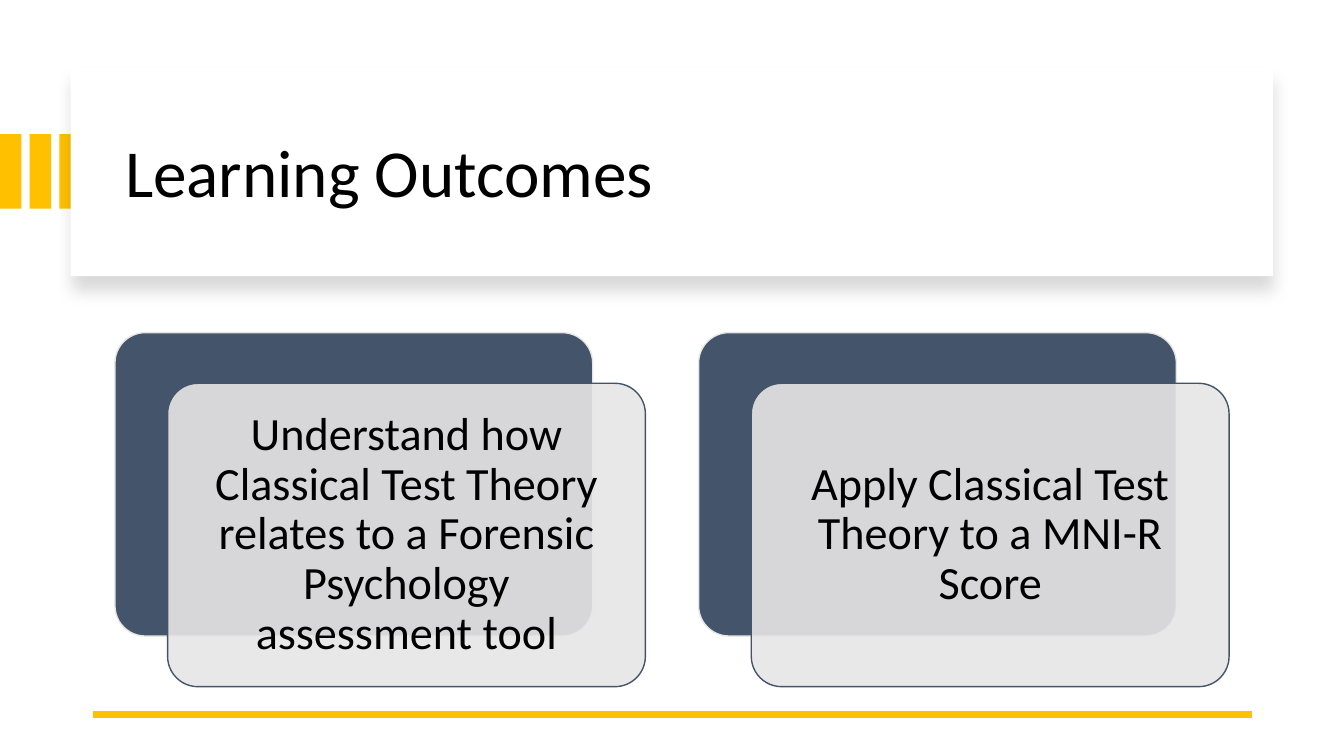
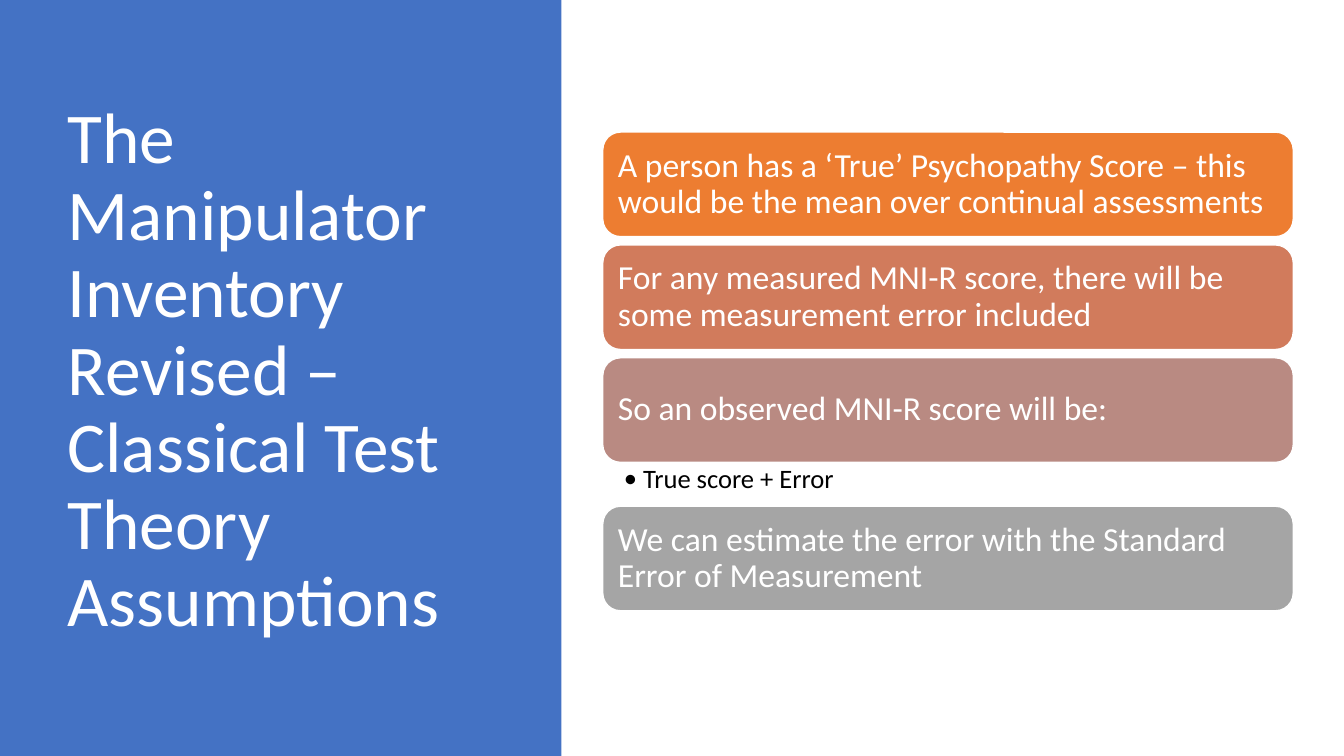
from dataclasses import dataclass

from lxml.etree import SubElement
from pptx import Presentation
from pptx.dml.color import RGBColor
from pptx.enum.shapes import MSO_CONNECTOR, MSO_SHAPE
from pptx.enum.text import MSO_ANCHOR, MSO_AUTO_SIZE, PP_ALIGN
from pptx.oxml.ns import qn
from pptx.util import Inches, Pt

WIDE, HIGH = Inches(13.333), Inches(7.5)


@dataclass(frozen=True)
class Theme:
    font: str = "Calibri"
    black: str = "000000"
    white: str = "FFFFFF"
    gold: str = "FFC000"
    navy: str = "44546A"
    pale: str = "E7E6E6"
    blue: str = "4472C4"
    ramp: tuple = ("ED7D31", "D17B5C", "B98A82", "A5A5A5")
    head: int = 48
    side: int = 51
    card: int = 33
    row: int = 24
    note: int = 19
    lead: float = 0.9


LOOK = Theme()


def rgb(code):
    return RGBColor.from_string(code)


def span(x, y, w, h):
    return (round(WIDE * x / 100), round(HIGH * y / 100),
            round(WIDE * w / 100), round(HIGH * h / 100))


def write(shape, words, size, color=LOOK.black, align=PP_ALIGN.LEFT,
          anchor=MSO_ANCHOR.MIDDLE, pad=(0.1, 0.05), dot=0):
    frame = shape.text_frame
    frame.word_wrap = True
    frame.auto_size = MSO_AUTO_SIZE.NONE
    frame.vertical_anchor = anchor
    frame.margin_left = frame.margin_right = Inches(pad[0])
    frame.margin_top = frame.margin_bottom = Inches(pad[1])
    para = frame.paragraphs[0]
    para.alignment = align
    para.line_spacing = LOOK.lead
    run = para.add_run()
    run.text = words
    run.font.name = LOOK.font
    run.font.size = Pt(size)
    run.font.color.rgb = rgb(color)
    if dot:
        props = para._p.get_or_add_pPr()
        props.set("marL", str(Inches(dot)))
        props.set("indent", str(-Inches(dot)))
        SubElement(props, qn("a:buFont"), typeface=LOOK.font)
        SubElement(props, qn("a:buChar"), char="•")


def block(slide, area, fill, edge=None, bend=None, alpha=None):
    kind = MSO_SHAPE.RECTANGLE if bend is None else MSO_SHAPE.ROUNDED_RECTANGLE
    shape = slide.shapes.add_shape(kind, *span(*area))
    if bend is not None:
        shape.adjustments[0] = bend
    shape.fill.solid()
    shape.fill.fore_color.rgb = rgb(fill)
    if alpha:
        tint = shape.element.spPr.find(qn("a:solidFill"))[0]
        SubElement(tint, qn("a:alpha"), val=str(alpha * 1000))
    if edge:
        shape.line.color.rgb = rgb(edge)
        shape.line.width = Pt(1)
    else:
        shape.line.fill.background()
    shape.shadow.inherit = False
    return shape


def shade(shape):
    glow = SubElement(shape.element.spPr.find(qn("a:effectLst")),
                      qn("a:outerShdw"), blurRad=str(Pt(11)),
                      dist=str(Pt(10)), dir="5400000", algn="t",
                      rotWithShape="0")
    tint = SubElement(glow, qn("a:srgbClr"), val=LOOK.black)
    SubElement(tint, qn("a:alpha"), val="15000")


def title(slide, area, words, **style):
    shape = slide.shapes.title
    shape.left, shape.top, shape.width, shape.height = span(*area)
    shape.element.getparent().append(shape.element)
    write(shape, words, **style)


def rule(slide, x, y, end):
    left, top, wide, _ = span(x, y, end - x, 0)
    line = slide.shapes.add_connector(
        MSO_CONNECTOR.STRAIGHT, left + wide, top, left, top)
    line.line.color.rgb = rgb(LOOK.gold)
    line.line.width = Pt(4.5)
    SubElement(line.element.spPr, qn("a:effectLst"))


def card(slide, x, words):
    y, w, h = 44, 35.55, 40.13
    block(slide, (x, y, w, h), LOOK.navy, LOOK.pale, 0.1)
    front = block(slide, (x + 3.92, y + 6.7, w, h), LOOK.pale,
                  LOOK.navy, 0.1, 90)
    write(front, words, LOOK.card, align=PP_ALIGN.CENTER, pad=(0.14, 0.14))


def stack(slide, items):
    x, y, w, h, gap, deep = 44.85, 17.47, 51.38, 13.83, 1.1, 5.8
    for fill, (words, note) in zip(LOOK.ramp, items):
        bar = block(slide, (x, y, w, h), fill, LOOK.white, 0.17)
        write(bar, words, LOOK.row, LOOK.white, pad=(0.1, 0.1))
        y += h
        if note:
            area = slide.shapes.add_textbox(*span(x, y, w, deep))
            write(area, note, LOOK.note, anchor=MSO_ANCHOR.TOP,
                  pad=(0.21, 0.03), dot=0.19)
        y += deep if note else gap


def goals(slide):
    for i in range(3):
        block(slide, (i * 2.21, 17.75, 1.6, 9.87), LOOK.gold)
    shade(block(slide, (5.25, 8.93, 89.48, 27.6), LOOK.white))
    title(slide, (8.55, 11.87, 83.48, 22.67), "Learning Outcomes",
          size=LOOK.head)
    rule(slide, 6.9, 94.53, 93.15)
    cards = (
        "Understand how Classical Test Theory relates to a Forensic "
        "Psychology assessment tool",
        "Apply Classical Test Theory to a MNI-R Score",
    )
    for i, words in enumerate(cards):
        card(slide, 8.55 + i * 43.43, words)


def claims(slide):
    block(slide, (0, 0, 41.78, 100), LOOK.blue)
    title(slide, (4.28, 9.07, 31.2, 80.27),
          "The Manipulator Inventory Revised – Classical Test Theory "
          "Assumptions", size=LOOK.side, color=LOOK.white)
    stack(slide, (
        ("A person has a ‘True’ Psychopathy Score – this would be the mean "
         "over continual assessments", None),
        ("For any measured MNI-R score, there will be some measurement "
         "error included", None),
        ("So an observed MNI-R score will be:", "True score + Error"),
        ("We can estimate the error with the Standard Error of Measurement",
         None),
    ))


def main():
    deck = Presentation()
    deck.slide_width, deck.slide_height = WIDE, HIGH
    for draw in (goals, claims):
        draw(deck.slides.add_slide(deck.slide_layouts[5]))
    deck.save("out.pptx")


if __name__ == "__main__":
    main()
